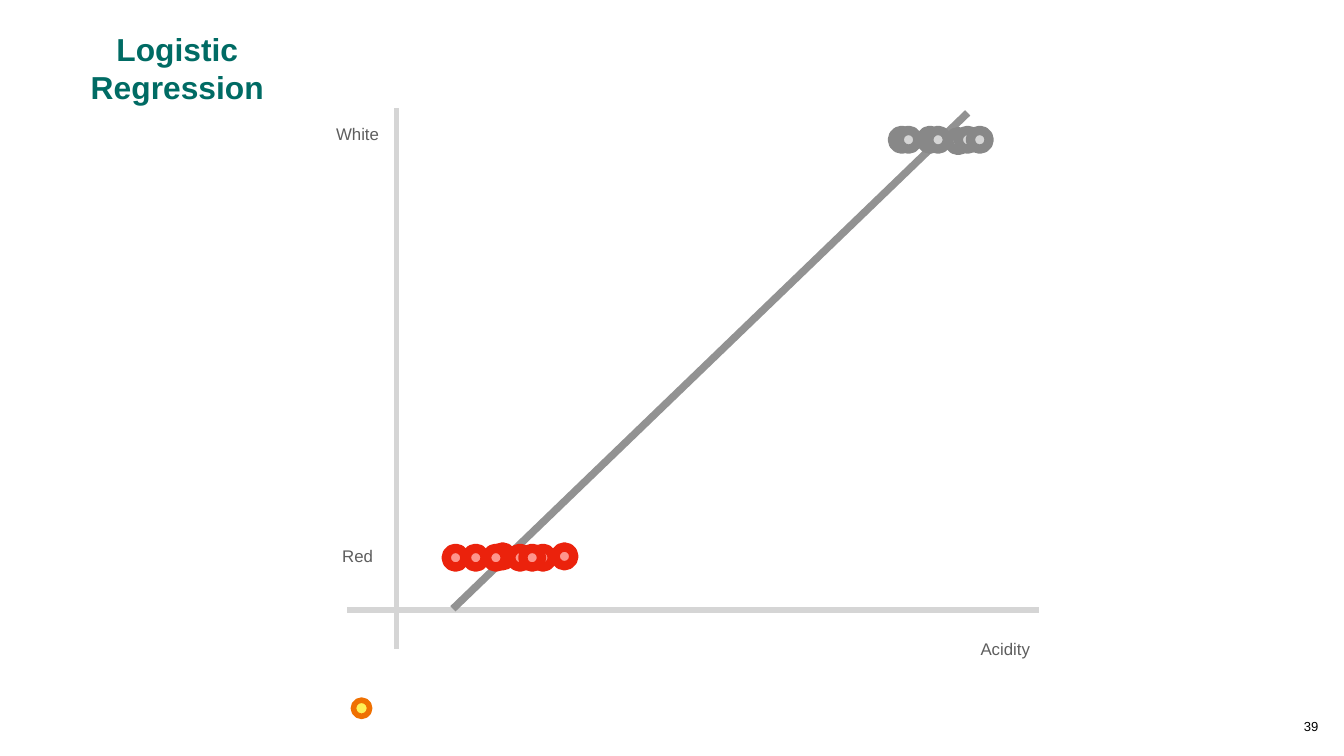
from dataclasses import dataclass

from lxml.etree import SubElement
from pptx import Presentation
from pptx.dml.color import RGBColor
from pptx.enum.shapes import MSO_CONNECTOR, MSO_SHAPE
from pptx.enum.text import MSO_ANCHOR, PP_ALIGN
from pptx.oxml.ns import qn
from pptx.util import Inches, Pt


@dataclass(frozen=True)
class Theme:
    font: str = "Arial"
    title: str = "006B64"
    label: str = "5E5E5E"
    number: str = "000000"
    axis: str = "D5D5D5"
    fit: str = "929292"
    red: tuple = ("FE958C", "EB220C")
    white: tuple = ("D5D5D5", "888888")
    query: tuple = ("FEEF56", "EF7001")
    title_size: int = 17
    label_size: int = 9
    number_size: int = 7


THEME = Theme()
DOT = 0.14
RED_DOTS = [(3.32, 4.08), (3.47, 4.08), (3.67, 4.07), (3.62, 4.08),
            (4.13, 4.07), (3.8, 4.08), (3.97, 4.08), (3.89, 4.08)]
WHITE_DOTS = [(6.64, 0.97), (7.06, 0.98), (6.69, 0.97), (6.85, 0.97),
              (6.91, 0.97), (7.13, 0.97), (7.22, 0.97)]


def add_text(s, text, box, *, size=THEME.label_size, color=THEME.label,
             bold=False, anchor=MSO_ANCHOR.MIDDLE, wrap=False):
    tf = s.shapes.add_textbox(*map(Inches, box)).text_frame
    tf.word_wrap = wrap
    tf.vertical_anchor = anchor
    tf.margin_left = tf.margin_right = Inches(0.02)
    tf.margin_top = tf.margin_bottom = Inches(0.02)
    p = tf.paragraphs[0]
    p.alignment = PP_ALIGN.CENTER
    r = p.add_run()
    r.text = text
    r.font.name = THEME.font
    r.font.size = Pt(size)
    r.font.bold = bold
    r.font.color.rgb = RGBColor.from_string(color)


def add_line(s, start, end, color, width):
    line = s.shapes.add_connector(MSO_CONNECTOR.STRAIGHT, *map(Inches, start + end))
    line.line.color.rgb = RGBColor.from_string(color)
    line.line.width = Pt(width)
    SubElement(line.element.spPr, qn("a:effectLst"))


def add_dot(s, left, top, colors, size=DOT, width=5):
    fill, outline = colors
    sp = s.shapes.add_shape(MSO_SHAPE.OVAL, *map(Inches, (left, top, size, size)))
    sp.shadow.inherit = False
    sp.fill.solid()
    sp.fill.fore_color.rgb = RGBColor.from_string(fill)
    sp.line.color.rgb = RGBColor.from_string(outline)
    sp.line.width = Pt(width)


def main():
    prs = Presentation()
    prs.slide_width, prs.slide_height = Inches(10), Inches(10 * 9 / 16)
    s = prs.slides.add_slide(prs.slide_layouts[6])

    add_text(s, "39", (9.68, 5.32, 0.15, 0.16), size=THEME.number_size,
             color=THEME.number, anchor=MSO_ANCHOR.BOTTOM)

    add_line(s, (2.95, 4.83), (2.95, 0.8), THEME.axis, 3)
    add_line(s, (7.73, 4.54), (2.58, 4.54), THEME.axis, 3)
    add_line(s, (3.37, 4.53), (7.2, 0.84), THEME.fit, 4)
    add_text(s, "Acidity", (7.26, 4.73, 0.44, 0.19))

    for dots, colors in ((RED_DOTS, THEME.red), (WHITE_DOTS, THEME.white)):
        for left, top in dots:
            add_dot(s, left, top, colors)

    add_text(s, "Logistic Regression", (0.19, 0.2, 2.26, 0.61), wrap=True,
             size=THEME.title_size, color=THEME.title, bold=True)
    for text, top in (("White", 0.9), ("Red", 4.04)):
        add_text(s, text, (2.47, top, 0.38, 0.19))
    add_dot(s, 2.63, 5.21, THEME.query, size=0.12, width=3)

    prs.save("out.pptx")


if __name__ == "__main__":
    main()
